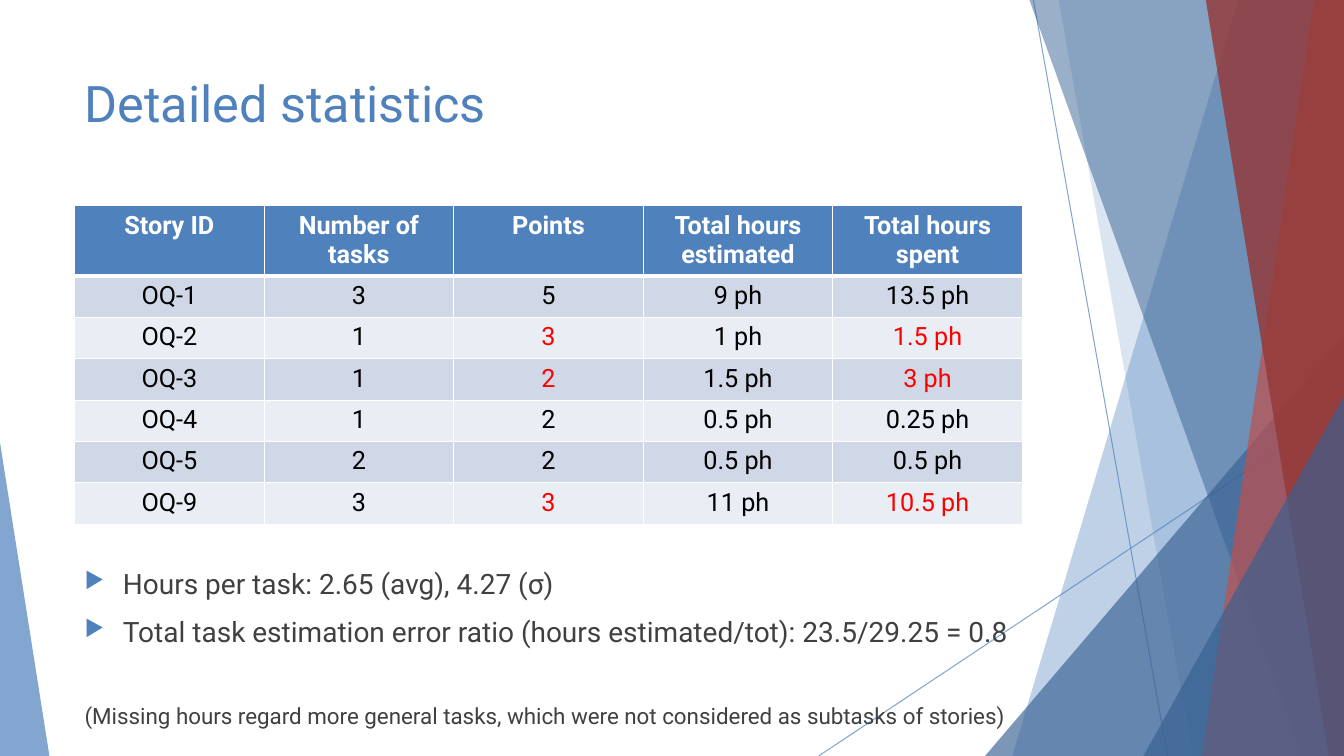
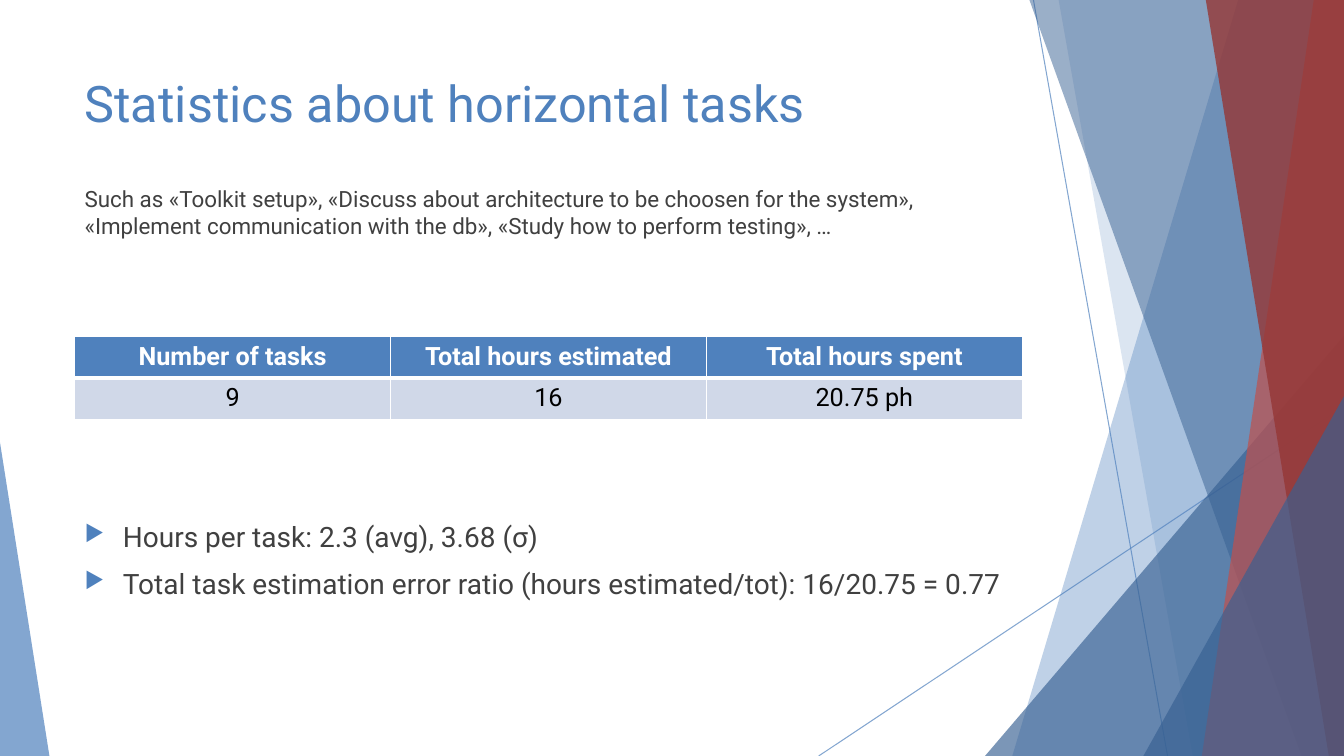
"""Build two slides of task statistics, each with a table and bullet points."""
import pptx
import pptx.dml.color
import pptx.enum.shapes
import pptx.enum.text
import pptx.oxml
import pptx.oxml.ns
import pptx.util
from pptx.util import Inches, Pt

RGBColor = pptx.dml.color.RGBColor
BLUE = RGBColor(0x4F, 0x81, 0xBD)
DARK_BLUE = RGBColor(0x37, 0x60, 0x92)
RED = RGBColor(0xC0, 0x50, 0x4D)
DARK_RED = RGBColor(0x95, 0x37, 0x35)
GREY = RGBColor(0x40, 0x40, 0x40)
BLACK = RGBColor(0, 0, 0)
WHITE = RGBColor(0xFF, 0xFF, 0xFF)
HIGHLIGHT = RGBColor(0xFF, 0, 0)
BANDS = (RGBColor(0xD0, 0xD8, 0xE8), RGBColor(0xE9, 0xED, 0xF4))

FONT = "Roboto"
WIDTH, HEIGHT = 13.33, 7.5
LEFT, CONTENT_WIDTH, BODY_WIDTH = 0.74, 9.4, 10.28
ROW_HEIGHT = 0.41

RAYS = [((10.25, 0), (11.58, HEIGHT)), ((WIDTH, 4.03), (8.12, HEIGHT))]
FACETS = [
    ("band", 12.28, 10.04, BLUE, 36),
    ("band", 10.5, 11.83, BLUE, 20),
    ("triangle", (9.77, 3.33, 3.56), 1, DARK_BLUE, 66),
    ("band", 10.21, 12.91, DARK_BLUE, 50),
    ("band", 13.03, 11.92, RED, 70),
    ("band", 11.96, 13.18, DARK_RED, 80),
    ("triangle", (11.34, 3.93, 1.99), 1, DARK_BLUE, 66),
    ("triangle", (0, 4.39, 0.49), 0, BLUE, 70),
]

BULLET = {"size": 20, "before": 10, "bullet": True}
SLIDES = [
    {
        "title": "Detailed statistics",
        "table_top": 2.04,
        "header_height": 0.69,
        "rows": [
            ("Story ID", "Number of tasks", "Points", "Total hours estimated", "Total hours spent"),
            ("OQ-1", "3", "5", "9 ph", "13.5 ph"),
            ("OQ-2", "1", "3", "1 ph", "1.5 ph"),
            ("OQ-3", "1", "2", "1.5 ph", "3 ph"),
            ("OQ-4", "1", "2", "0.5 ph", "0.25 ph"),
            ("OQ-5", "2", "2", "0.5 ph", "0.5 ph"),
            ("OQ-9", "3", "3", "11 ph", "10.5 ph"),
        ],
        "highlights": {(row, column) for row in (2, 3, 6) for column in (2, 4)},
        "texts": [
            ((5.57, BODY_WIDTH, 1.93), [
                ("Hours per task: 2.65 (avg), 4.27 (σ)", BULLET),
                ("Total task estimation error ratio (hours estimated/tot): 23.5/29.25 = 0.8", BULLET),
                ("(Missing hours regard more general tasks, which were not considered as subtasks of stories)",
                 {"size": 16, "before": 39}),
            ]),
        ],
    },
    {
        "title": "Statistics about horizontal tasks",
        "table_top": 3.34,
        "header_height": ROW_HEIGHT,
        "rows": [
            ("Number of tasks", "Total hours estimated", "Total hours spent"),
            ("9", "16", "20.75 ph"),
        ],
        "highlights": set(),
        "texts": [
            ((5.1, BODY_WIDTH, 1.23), [
                ("Hours per task: 2.3 (avg), 3.68 (σ)", BULLET),
                ("Total task estimation error ratio (hours estimated/tot): 16/20.75 = 0.77", BULLET),
            ]),
            ((1.79, 9.58, 0.92), [
                ("Such as «Toolkit setup», «Discuss about architecture to be choosen for the system», "
                 "«Implement communication with the db», «Study how to perform testing», …",
                 {"size": 16, "before": 10}),
            ]),
        ],
    },
]


def add_xml(parent, tag, **attributes):
    child = pptx.oxml.xmlchemy.OxmlElement(tag)
    for name, value in attributes.items():
        child.set(name, str(value))
    parent.append(child)
    return child


def set_opacity(shape, percent):
    for color in shape.element.xpath(".//a:srgbClr"):
        add_xml(color, "a:alpha", val=percent * 1000)


def set_font(paragraph, size, color, bold=False):
    font = paragraph.font
    font.name, font.size, font.bold = FONT, Pt(size), bold
    font.color.rgb = color


def add_backdrop(slide):
    shapes = slide.shapes.add_group_shape().shapes
    for start, end in RAYS:
        ray = shapes.add_connector(
            pptx.enum.shapes.MSO_CONNECTOR.STRAIGHT, *(Inches(value) for value in start + end))
        ray.line.color.rgb = BLUE
        ray.line.width = Pt(0.75)
        set_opacity(ray, 70)
        add_xml(ray.element.spPr, "a:effectLst")
    for kind, place, slant, color, opacity in FACETS:
        if kind == "band":
            builder = shapes.build_freeform(Inches(place), 0)
            corners = [(WIDTH, 0), (WIDTH, HEIGHT), (slant, HEIGHT)]
            builder.add_line_segments([(Inches(x), Inches(y)) for x, y in corners])
            facet = builder.convert_to_shape()
        else:
            left, top, width = place
            facet = shapes.add_shape(
                pptx.enum.shapes.MSO_SHAPE.ISOSCELES_TRIANGLE,
                Inches(left), Inches(top), Inches(width), Inches(HEIGHT - top))
            facet.adjustments[0] = slant
        facet.shadow.inherit = False
        facet.fill.solid()
        facet.fill.fore_color.rgb = color
        facet.line.fill.background()
        set_opacity(facet, opacity)


def add_bullet(paragraph):
    properties = paragraph._p.get_or_add_pPr()
    properties.set("marL", str(Inches(0.38)))
    properties.set("indent", str(-Inches(0.38)))
    add_xml(add_xml(properties, "a:buClr"), "a:srgbClr", val=BLUE)
    add_xml(properties, "a:buSzPct", val=80000)
    add_xml(properties, "a:buChar", char="▶")


def add_text(slide, place, lines, color=GREY):
    top, width, height = place
    frame = slide.shapes.add_textbox(
        Inches(LEFT), Inches(top), Inches(width), Inches(height)).text_frame
    frame.word_wrap = True
    for index, (text, style) in enumerate(lines):
        paragraph = frame.add_paragraph() if index else frame.paragraphs[0]
        paragraph.text = text
        paragraph.space_before = Pt(style["before"])
        if style.get("bullet"):
            add_bullet(paragraph)
        set_font(paragraph, style["size"], color)


def set_borders(cell, top, bottom):
    properties = cell._tc.get_or_add_tcPr()
    for side, width in (("L", 1), ("R", 1), ("T", top), ("B", bottom)):
        border = add_xml(properties, "a:ln" + side, w=Pt(width))
        add_xml(add_xml(border, "a:solidFill"), "a:srgbClr", val=WHITE)


def add_table(slide, top, header_height, rows, highlights):
    heights = [header_height] + [ROW_HEIGHT] * (len(rows) - 1)
    table = slide.shapes.add_table(
        len(rows), len(rows[0]), Inches(LEFT), Inches(top),
        Inches(CONTENT_WIDTH), Inches(sum(heights))).table
    for row_index, texts in enumerate(rows):
        table.rows[row_index].height = Inches(heights[row_index])
        header = row_index == 0
        for column_index, text in enumerate(texts):
            cell = table.cell(row_index, column_index)
            set_borders(cell, 3 if row_index == 1 else 1, 3 if header else 1)
            cell.fill.solid()
            cell.fill.fore_color.rgb = BLUE if header else BANDS[(row_index - 1) % 2]
            paragraph = cell.text_frame.paragraphs[0]
            paragraph.text = text
            paragraph.alignment = pptx.enum.text.PP_ALIGN.CENTER
            body_color = HIGHLIGHT if (row_index, column_index) in highlights else BLACK
            set_font(paragraph, 18, WHITE if header else body_color, header)


def main():
    presentation = pptx.Presentation()
    presentation.slide_width = Inches(WIDTH)
    presentation.slide_height = Inches(HEIGHT)
    for content in SLIDES:
        slide = presentation.slides.add_slide(presentation.slide_layouts[6])
        add_backdrop(slide)
        add_text(slide, (0.67, CONTENT_WIDTH, 1.05),
                 [(content["title"], {"size": 36, "before": 0})], BLUE)
        add_table(slide, content["table_top"], content["header_height"],
                  content["rows"], content["highlights"])
        for place, lines in content["texts"]:
            add_text(slide, place, lines)
    presentation.save("out.pptx")


if __name__ == "__main__":
    main()
